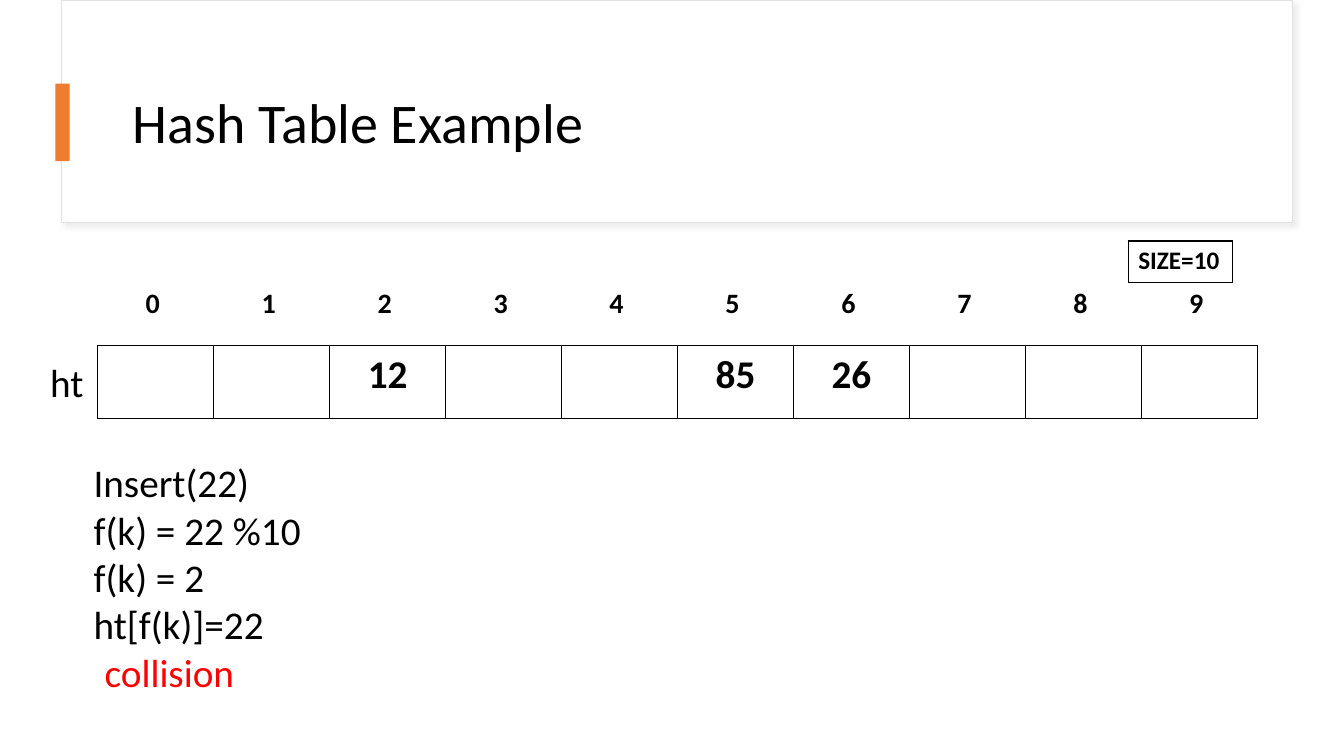
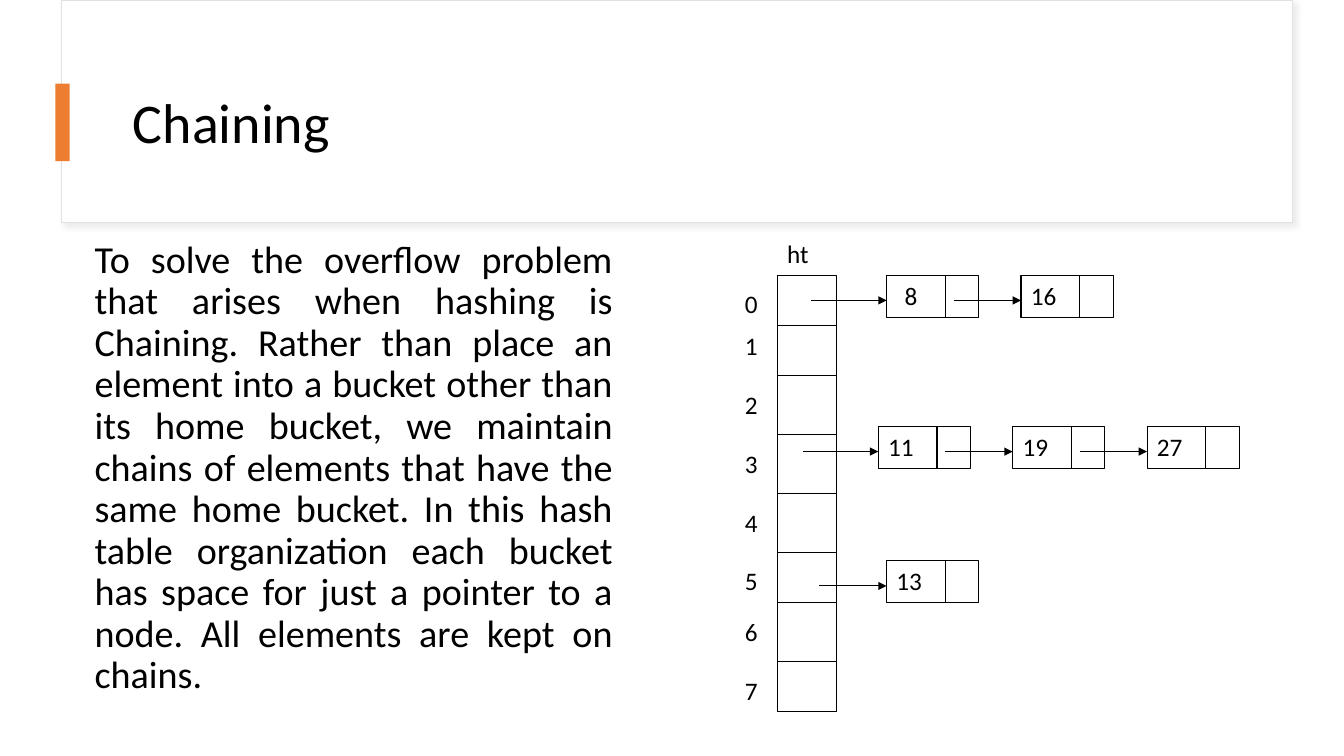
from itertools import accumulate
from lxml.etree import SubElement
from pptx import Presentation
from pptx.dml.color import RGBColor
from pptx.enum.shapes import MSO_CONNECTOR, MSO_SHAPE
from pptx.enum.text import MSO_ANCHOR, PP_ALIGN
from pptx.oxml import parse_xml
from pptx.oxml.ns import nsdecls, qn
from pptx.util import Inches, Pt

FONT = "Calibri"
BLACK, WHITE, RED = "000000", "FFFFFF", "FF0000"
ACCENT, EDGE, SHADE = "ED7D31", "E1E1E1", "D9D9D9"
THIN = 0.75
UNIT = 1 / 12  # grid of the chaining diagram, in inches


def rgb(color):
    """Turn a hex string into a colour."""
    return RGBColor.from_string(color)


def style(p, size, color=BLACK, bold=False, align=PP_ALIGN.LEFT):
    """Set the font and alignment of a paragraph."""
    p.alignment = align
    font = p.font
    font.name, font.size, font.bold = FONT, Pt(size), bold
    font.color.rgb = rgb(color)


def add_text(s, box, lines, size, color=BLACK, wrap=False,
             anchor=MSO_ANCHOR.TOP, align=PP_ALIGN.LEFT, spacing=None):
    """Add a text box with one paragraph per line."""
    tf = s.shapes.add_textbox(*map(Inches, box)).text_frame
    tf.word_wrap, tf.vertical_anchor = wrap, anchor
    tf.text = "\n".join(lines)
    for p in tf.paragraphs:
        style(p, size, color, align=align)
        p.line_spacing = spacing


def add_rect(s, box, fill=None, line=None):
    """Add a rectangle without the theme's shadow."""
    sp = s.shapes.add_shape(MSO_SHAPE.RECTANGLE, *map(Inches, box))
    sp.shadow.inherit = False
    if fill:
        sp.fill.solid()
        sp.fill.fore_color.rgb = rgb(fill)
    else:
        sp.fill.background()
    if line:
        sp.line.color.rgb = rgb(line)
        sp.line.width = Pt(THIN)
    else:
        sp.line.fill.background()
    return sp


def add_line(s, x1, y1, x2, y2, arrow=False):
    """Add a thin black line, with an arrowhead at its end if asked."""
    cn = s.shapes.add_connector(MSO_CONNECTOR.STRAIGHT,
                                *map(Inches, (x1, y1, x2, y2)))
    cn.line.color.rgb = rgb(BLACK)
    cn.line.width = Pt(THIN)
    if arrow:
        SubElement(cn.line._get_or_add_ln(), qn("a:tailEnd"), type="triangle")
    SubElement(cn._element.spPr, qn("a:effectLst"))


def add_soft_shadow(sp):
    """Give a shape a faint shadow to the lower right."""
    effects = sp._element.spPr.find(qn("a:effectLst"))
    effects.append(parse_xml(
        f'<a:outerShdw {nsdecls("a")} blurRad="{Pt(4)}" dist="{Pt(3)}" '
        f'dir="2700000" algn="tl" rotWithShape="0"><a:srgbClr val="{SHADE}">'
        '<a:alpha val="50000"/></a:srgbClr></a:outerShdw>'))


def add_border(cell):
    """Draw a black border on all sides of a table cell."""
    tc_pr = cell._tc.get_or_add_tcPr()
    for i, side in enumerate(("lnL", "lnR", "lnT", "lnB")):
        tc_pr.insert(i, parse_xml(
            f'<a:{side} {nsdecls("a")} w="{Pt(1)}"><a:solidFill>'
            f'<a:srgbClr val="{BLACK}"/></a:solidFill></a:{side}>'))


def add_row(s, box, values, size, border=True, align=PP_ALIGN.CENTER):
    """Add a one-row table of equal, unfilled cells."""
    table = s.shapes.add_table(1, len(values), *map(Inches, box)).table
    table.first_row = table.horz_banding = False
    for cell, value in zip(table.rows[0].cells, values):
        cell.text = value
        style(cell.text_frame.paragraphs[0], size, bold=True, align=align)
        cell.fill.background()
        if border:
            add_border(cell)


def add_base(prs, title):
    """Add a slide with the title panel, accent bar and title."""
    s = prs.slides.add_slide(prs.slide_layouts[6])
    add_soft_shadow(add_rect(s, (0.61, 0, 12.21, 2.21), WHITE, EDGE))
    add_text(s, (1.22, 0.6, 11.12, 1.29), [title], 40, wrap=True,
             anchor=MSO_ANCHOR.MIDDLE, spacing=0.9)
    add_rect(s, (0.55, 0.83, 0.14, 0.77), ACCENT)
    return s


def add_hash_array(s, x, y, w, filled, size=10):
    """Draw the array at x, y with its indices, name and size above."""
    add_row(s, (x, y, w, 0.72), [filled.get(i, "") for i in range(size)], 28)
    add_text(s, (x - 0.57, y + 0.08, 0.54, 0.57), ["ht"], 28)
    add_row(s, (x - 0.03, y - 0.63, w, 0.44),
            [str(i) for i in range(size)], 20, border=False)
    add_row(s, (x + w - 1.28, y - 1.04, 1.03, 0.41), [f"SIZE={size}"], 18,
            align=PP_ALIGN.LEFT)


def add_insert_steps(s, x, y):
    """Write the steps of the insertion and its outcome."""
    add_text(s, (x, y, 1.76, 0.57), ["Insert(22)"], 28)
    add_text(s, (x, y + 0.47, 2.28, 1.5),
             ["f(k) = 22 %10", "f(k) = 2", "ht[f(k)]=22"], 28)
    add_text(s, (x + 0.11, y + 1.88, 1.5, 0.57), ["collision"], 28, RED)


def add_buckets(s, x, y, heights):
    """Draw the column of buckets, heights in grid units, with indices."""
    w = 7 * UNIT
    add_rect(s, (x, y, w, sum(heights) * UNIT), line=BLACK)
    add_text(s, (x, y - 0.41, 0.5, 0.4), ["ht"], 18)
    for i, top in enumerate(accumulate(heights[:-1], initial=0)):
        label_y = y + (top + (i != 1)) * UNIT
        add_text(s, (x - 0.42, label_y, 0.34, 0.4), [str(i)], 18)
        if i:
            add_line(s, x, y + top * UNIT, x + w, y + top * UNIT)


def add_node(s, x, y, key):
    """Draw a chain node: its key and a pointer field."""
    h = 5 * UNIT
    sp = add_rect(s, (x, y, 11 * UNIT, h), line=BLACK)
    tf = sp.text_frame
    tf.vertical_anchor = MSO_ANCHOR.TOP
    tf.margin_left = Inches(0.1 if len(key) > 1 else 0.18)
    tf.text = key
    style(tf.paragraphs[0], 18)
    add_line(s, x + 7 * UNIT, y, x + 7 * UNIT, y + h)


def add_chain(s, x, y, start, first, keys):
    """Draw linked nodes; start and first are columns of the grid."""
    for i, key in enumerate(keys):
        col = first + 16 * i
        tail = col - 8 if i else start
        add_node(s, x + col * UNIT, y, key)
        add_line(s, x + tail * UNIT, y + 3 * UNIT,
                 x + col * UNIT, y + 3 * UNIT, arrow=True)


def hash_table_slide(prs):
    """Show an insertion that collides."""
    s = add_base(prs, "Hash Table Example")
    add_hash_array(s, 0.97, 3.43, 11.5, {2: "12", 5: "85", 6: "26"})
    add_insert_steps(s, 0.83, 4.5)


def chaining_slide(prs):
    """Explain chaining beside a diagram of it."""
    s = add_base(prs, "Chaining")
    add_text(s, (0.84, 2.33, 5.34, 4.76), [
        "To solve the overflow problem that arises when hashing is Chaining. "
        "Rather than place an element into a bucket other than its home "
        "bucket, we maintain chains of elements that have the same home "
        "bucket. In this hash table organization each bucket has space for "
        "just a pointer to a node. All elements are kept on chains."],
        27.2, wrap=True, align=PP_ALIGN.JUSTIFY, spacing=0.91)
    x, y = 7.71, 2.73
    add_buckets(s, x, y, (6, 6, 7, 7, 7, 6, 7, 6))
    for row, start, first, keys in ((0, 4, 13, ("8", "16")),
                                    (18, 3, 12, ("11", "19", "27")),
                                    (34, 5, 13, ("13",))):
        add_chain(s, x, y + row * UNIT, start, first, keys)


prs = Presentation()
prs.slide_width, prs.slide_height = Inches(13.33), Inches(7.5)
hash_table_slide(prs)
chaining_slide(prs)
prs.save("out.pptx")
